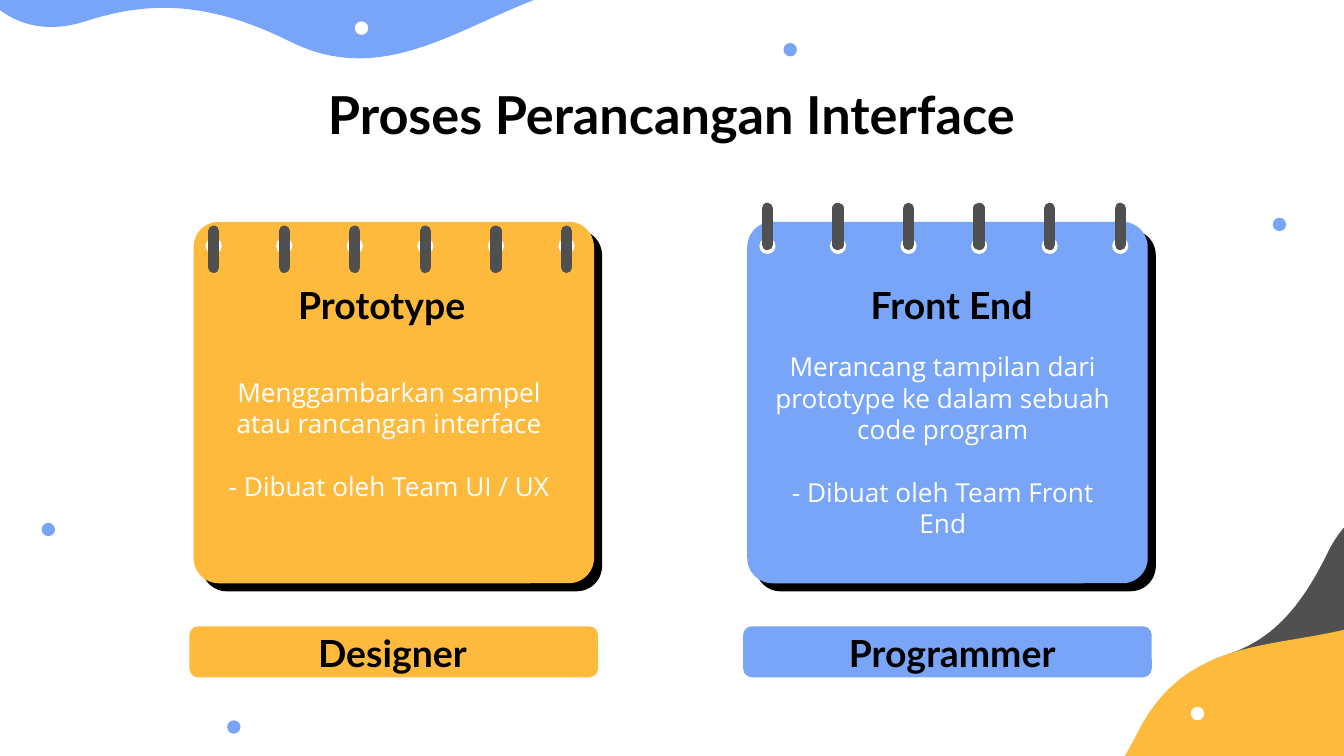
from lxml.etree import SubElement
from pptx import Presentation
from pptx.dml.color import RGBColor
from pptx.enum.shapes import MSO_CONNECTOR as Connector, MSO_SHAPE as Shape
from pptx.enum.text import MSO_ANCHOR as Anchor, PP_ALIGN as Align
from pptx.oxml.ns import qn
from pptx.util import Inches, Pt

BLUE, ORANGE, GREY = "78A5F8", "FDBA3C", "505050"
BLACK, WHITE = "000000", "FFFFFF"
CURVE_STEPS = 24

GREY_WAVE = [
    (11.73, 3.27), (11.73, 3.27), (11.23, 3.51), (10.86, 3.59),
    (10.49, 3.67), (10.09, 3.66), (9.87, 4.13), (9.64, 4.6),
    (9.4, 4.79), (9.1, 4.88), (8.8, 4.98), (8.78, 5.29), (8.78, 5.29),
]
ORANGE_WAVE = [
    (11.15, 4.27), (11.15, 4.27), (10.43, 4.61), (9.89, 4.71),
    (9.35, 4.82), (8.78, 4.81), (8.46, 5.46), (8.13, 6.11),
    (7.78, 6.36), (7.35, 6.5), (6.91, 6.63), (6.88, 7.05), (6.88, 7.05),
]
BLUE_WAVE = [
    (5.23, -0.35), (5.23, -0.35), (4.4, -0.19), (3.85, 0.05),
    (3.3, 0.28), (2.78, 0.62), (2.16, 0.31), (1.54, 0),
    (1.09, 0.01), (0.63, 0.16), (0.16, 0.31), (-0.08, 0), (-0.08, 0),
]
WAVES = [
    (GREY_WAVE, [(11.57, 5.29)], GREY),
    (ORANGE_WAVE, [(10.92, 7.05)], ORANGE),
    (BLUE_WAVE, [(3.65, -2.37)], BLUE),
]
DOTS = [
    (5.83, 0.32, BLUE), (1.69, 5.36, BLUE), (9.47, 1.62, BLUE),
    (0.31, 3.89, BLUE), (8.86, 5.26, WHITE), (2.64, 0.16, WHITE),
]


def rgb(color):
    """Turn a hex string into a colour."""
    return RGBColor.from_string(color)


def paint(shape, color):
    """Give a shape a plain fill without line or shadow."""
    shape.shadow.inherit = False
    shape.fill.solid()
    shape.fill.fore_color.rgb = rgb(color)
    shape.line.fill.background()


def add_block(slide, kind, left, top, width, height, color, rounding=None):
    """Add a filled preset shape."""
    shape = slide.shapes.add_shape(
        kind, Inches(left), Inches(top), Inches(width), Inches(height))
    if rounding is not None:
        shape.adjustments[0] = rounding
    paint(shape, color)


def curve_points(controls):
    """Return points along a chain of cubic curves."""
    points = [controls[0]]
    for first in range(0, len(controls) - 1, 3):
        segment = controls[first:first + 4]
        for step in range(1, CURVE_STEPS + 1):
            t = step / CURVE_STEPS
            weights = ((1 - t) ** 3, 3 * t * (1 - t) ** 2, 3 * t * t * (1 - t), t ** 3)
            points.append(tuple(
                sum(weight * point[axis] for weight, point in zip(weights, segment))
                for axis in (0, 1)))
    return points


def add_wave(slide, controls, corners, color):
    """Add a filled outline with one curved edge."""
    points = [(Inches(x), Inches(y)) for x, y in curve_points(controls) + corners]
    builder = slide.shapes.build_freeform(*points[0])
    builder.add_line_segments(points[1:], close=True)
    paint(builder.convert_to_shape(), color)


def add_ring(slide, x, top):
    """Add one round-ended binder ring."""
    ring = slide.shapes.add_connector(
        Connector.STRAIGHT, Inches(x), Inches(top), Inches(x), Inches(top + 0.27))
    ring.line.color.rgb = rgb(GREY)
    ring.line.width = Pt(6)
    ring.line._get_or_add_ln().set("cap", "rnd")
    SubElement(ring._element.spPr, qn("a:effectLst"))


def add_text(slide, box, lines, font, size, color, bold=False, gap=0):
    """Add centred text with one paragraph per line and a gap between them."""
    frame = slide.shapes.add_textbox(*map(Inches, box)).text_frame
    frame.word_wrap = True
    frame.vertical_anchor = Anchor.MIDDLE
    frame.margin_left = frame.margin_right = frame.margin_bottom = 0
    frame.margin_top = Inches(0.01)
    for index, line in enumerate(lines):
        paragraph = frame.add_paragraph() if index else frame.paragraphs[0]
        paragraph.alignment = Align.CENTER
        if index:
            paragraph.space_before = Pt(gap)
        run = paragraph.add_run()
        run.text = line
        run.font.name = font
        run.font.size = Pt(size)
        run.font.bold = bold
        run.font.color.rgb = rgb(color)


def add_notepad(slide, left, color, ring_top):
    """Add a notepad card with its shadow, holes and rings."""
    for offset, fill in ((0.06, BLACK), (0, color)):
        add_block(slide, Shape.ROUNDED_RECTANGLE, left + offset, 1.65 + offset,
                  2.98, 2.69, fill, 0.07)
    centers = [left + 0.15 + 0.525 * index for index in range(6)]
    for center in centers:
        add_block(slide, Shape.OVAL, center - 0.06, 1.77, 0.12, 0.12, WHITE)
    for center in centers:
        add_ring(slide, center, ring_top)


def add_stage(slide, left, color, ring_top, heading, heading_width,
              body, body_height, role, role_left, role_width):
    """Add a process stage: notepad, heading, body and role label."""
    add_notepad(slide, left, color, ring_top)
    add_text(slide, (left + 0.15, 2.48, 2.61, body_height), body,
             "Open Sans", 14, WHITE, gap=16.8)
    add_text(slide, (left + 0.73, 2.07, heading_width, 0.38), [heading],
             "Lato", 20, BLACK, bold=True)
    add_block(slide, Shape.ROUNDED_RECTANGLE, left - 0.03, 4.66, 3.04, 0.38,
              color, 0.17)
    add_text(slide, (role_left, 4.66, role_width, 0.38), [role],
             "Lato", 20, BLACK, bold=True)


def main():
    """Build and save the slide."""
    presentation = Presentation()
    presentation.slide_width = Inches(10)
    presentation.slide_height = Inches(10 * 9 / 16)
    slide = presentation.slides.add_slide(presentation.slide_layouts[6])
    for controls, corners, color in WAVES:
        add_wave(slide, controls, corners, color)
    for left, top, color in DOTS:
        add_block(slide, Shape.OVAL, left, top, 0.1, 0.1, color)
    add_text(slide, (0.78, 0.59, 8.43, 0.5), ["Proses Perancangan Interface"],
             "Lato", 28, BLACK, bold=True)
    add_stage(slide, 1.44, ORANGE, 1.72, "Prototype", 1.34,
              ["Menggambarkan sampel atau rancangan interface",
               "- Dibuat oleh Team UI / UX"], 1.56, "Designer", 2.33, 1.18)
    add_stage(slide, 5.56, BLUE, 1.55, "Front End", 1.58,
              ["Merancang tampilan dari prototype ke dalam sebuah code program",
               "- Dibuat oleh Team Front End"], 1.65, "Programmer", 5.85, 2.47)
    presentation.save("out.pptx")


if __name__ == "__main__":
    main()
